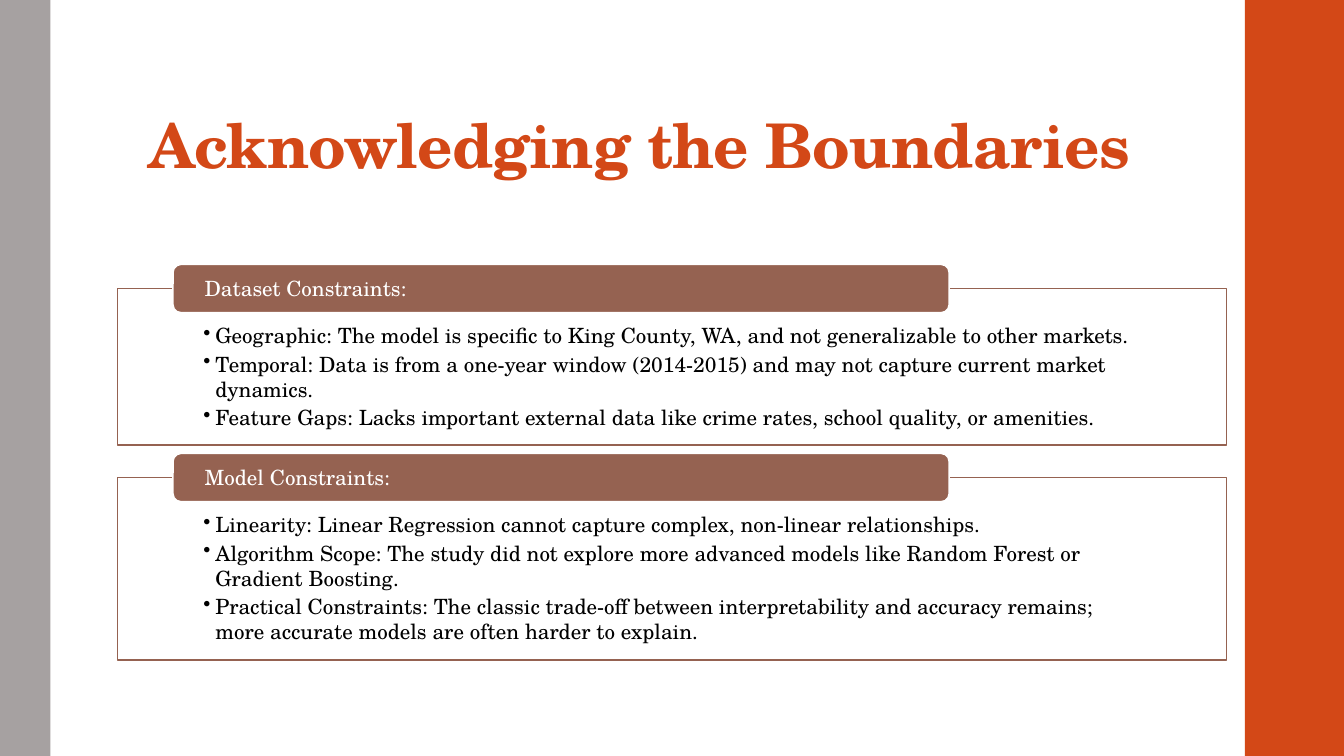
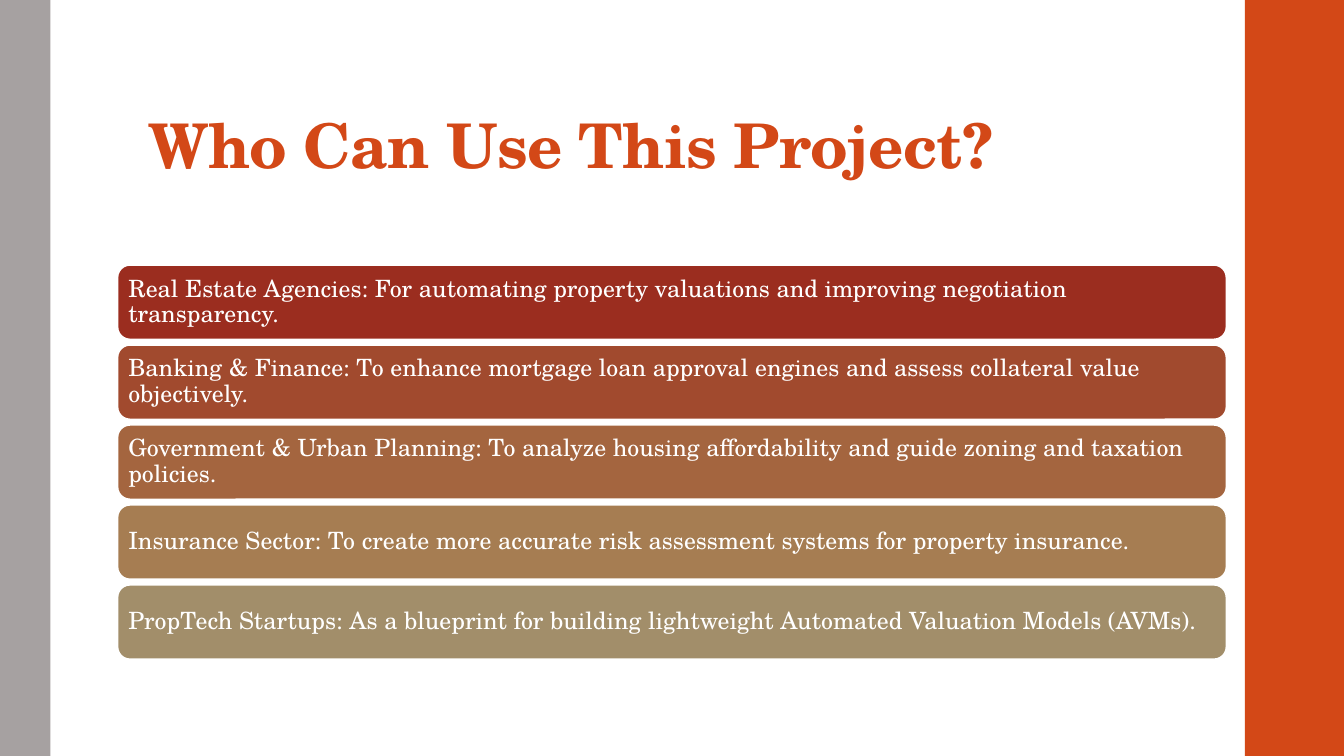
from dataclasses import dataclass
from typing import Any

from lxml.etree import SubElement as Sub
from pptx import Presentation
from pptx.dml.color import RGBColor as Rgb
from pptx.enum.shapes import MSO_SHAPE as Form
from pptx.enum.text import MSO_ANCHOR as Anchor, PP_ALIGN as Align
from pptx.oxml.ns import qn
from pptx.util import Inches, Pt

WIDE, HIGH = Inches(13.333), Inches(7.5)
COLS, ROWS = 160, 90
LEFT, SPAN = 14, 132
FONT = "TeX Gyre Schola"
HUES = {
    "white": "FFFFFF", "black": "000000", "orange": "D34817", "gray": "A6A1A1",
    "brown": "956251", "red": "9B2D1F", "rust": "A14A2E", "clay": "A4653F",
    "tan": "A67D52", "sand": "A28E6A",
}


@dataclass(frozen=True)
class Box:
    """A place on the grid, in columns and rows."""
    x: float
    y: float
    w: float
    h: float


@dataclass(frozen=True)
class Style:
    """The look of a text: inches for insets and hang, points for the rest."""
    size: int
    hue: str
    pad: tuple[float, float, float, float]
    anchor: Any = Anchor.MIDDLE
    bold: bool = False
    lead: float = 1.0
    after: float = 0
    hang: float = 0
    track: int = 0


@dataclass(frozen=True)
class Panel:
    """A framed list with a label on its top edge."""
    label: str
    rows: float
    items: tuple[str, ...]


@dataclass(frozen=True)
class Card:
    """A filled bar with one statement."""
    hue: str
    text: str


HEAD = Style(44, "orange", (0.1, 0.03, 0.1, 0.05), Anchor.BOTTOM, True, 0.9, track=-50)
LIST = Style(15, "black", (0.85, 0.34, 0.85, 0.12), Anchor.TOP, after=2.25, hang=0.12)
LABEL = Style(15, "white", (0.29, 0, 0.29, 0))
NOTE = Style(17, "white", (0.07, 0.07, 0.07, 0.07), lead=0.9)

BANDS = (("orange", Box(148.2, 0, 11.8, ROWS)), ("gray", Box(0, 0, 6, ROWS)))
TITLE = Box(16.5, 3.8, 127.2, 18.4)

PANELS = (
    Panel("Dataset Constraints:", 18.6, (
        "Geographic: The model is specific to King County, WA, and not generalizable to other markets.",
        "Temporal: Data is from a one-year window (2014-2015) and may not capture current market dynamics.",
        "Feature Gaps: Lacks important external data like crime rates, school quality, or amenities.",
    )),
    Panel("Model Constraints:", 21.7, (
        "Linearity: Linear Regression cannot capture complex, non-linear relationships.",
        "Algorithm Scope: The study did not explore more advanced models like Random Forest or Gradient Boosting.",
        "Practical Constraints: The classic trade-off between interpretability and accuracy remains; "
        "more accurate models are often harder to explain.",
    )),
)
CARDS = (
    Card("red", "Real Estate Agencies: For automating property valuations and improving negotiation transparency."),
    Card("rust", "Banking & Finance: To enhance mortgage loan approval engines and assess collateral value objectively."),
    Card("clay", "Government & Urban Planning: To analyze housing affordability and guide zoning and taxation policies."),
    Card("tan", "Insurance Sector: To create more accurate risk assessment systems for property insurance."),
    Card("sand", "PropTech Startups: As a blueprint for building lightweight Automated Valuation Models (AVMs)."),
)


def apply(target: Any, values: dict[str, Any]) -> None:
    """Set each named value on the target."""
    for name, value in values.items():
        setattr(target, name, value)


def place(box: Box) -> tuple[int, int, int, int]:
    """Turn a grid box into slide lengths."""
    return (round(WIDE * box.x / COLS), round(HIGH * box.y / ROWS),
            round(WIDE * box.w / COLS), round(HIGH * box.h / ROWS))


def color(name: str) -> Rgb:
    """Look up a colour by name."""
    return Rgb.from_string(HUES[name])


def shape(slide: Any, form: Any, box: Box, fill: str, line: str = "") -> Any:
    """Draw a filled shape, outlined if a line colour is given."""
    item = slide.shapes.add_shape(form, *place(box))
    item.shadow.inherit = False
    item.fill.solid()
    item.fill.fore_color.rgb = color(fill)
    if line:
        item.line.color.rgb = color(line)
        item.line.width = Pt(1.1)
    else:
        item.line.fill.background()
    return item


def write(item: Any, texts: tuple[str, ...], style: Style) -> None:
    """Fill a shape with one paragraph per text."""
    frame = item.text_frame
    left, top, right, bottom = map(Inches, style.pad)
    apply(frame, {"word_wrap": True, "vertical_anchor": style.anchor,
                  "margin_left": left, "margin_top": top,
                  "margin_right": right, "margin_bottom": bottom})
    for index, text in enumerate(texts):
        para = frame.add_paragraph() if index else frame.paragraphs[0]
        if style.hang:
            props = para._p.get_or_add_pPr()
            props.set("marL", str(Inches(style.hang)))
            props.set("indent", str(-Inches(style.hang)))
            Sub(props, qn("a:buChar")).set("char", "•")
        apply(para, {"alignment": Align.LEFT, "line_spacing": style.lead,
                     "space_after": Pt(style.after)})
        run = para.add_run()
        run.text = text
        apply(run.font, {"name": FONT, "size": Pt(style.size), "bold": style.bold})
        run.font.color.rgb = color(style.hue)
        if style.track:
            run._r.get_or_add_rPr().set("spc", str(style.track))


def start(deck: Any, title: str) -> Any:
    """Add a blank slide with the side bands and a title."""
    slide = deck.slides.add_slide(deck.slide_layouts[6])
    for hue, box in BANDS:
        shape(slide, Form.RECTANGLE, box, hue)
    write(slide.shapes.add_textbox(*place(TITLE)), (title,), HEAD)
    return slide


def limits(slide: Any) -> None:
    """Stack the panels, each with its label centred on the top edge."""
    top, gap, tall = 34.35, 3.9, 5.75
    for panel in PANELS:
        frame = shape(slide, Form.RECTANGLE, Box(LEFT, top, SPAN, panel.rows), "white", "brown")
        write(frame, panel.items, LIST)
        tab = Box(LEFT + SPAN * 0.05, top - tall / 2, SPAN * 0.7, tall)
        write(shape(slide, Form.ROUNDED_RECTANGLE, tab, "brown", "white"), (panel.label,), LABEL)
        top += panel.rows + gap


def users(slide: Any) -> None:
    """Stack the cards at an equal pitch."""
    top, pitch, tall = 31.55, 9.52, 8.85
    for index, card in enumerate(CARDS):
        box = Box(LEFT, top + index * pitch, SPAN, tall)
        write(shape(slide, Form.ROUNDED_RECTANGLE, box, card.hue, "white"), (card.text,), NOTE)


def main() -> None:
    """Build and save the deck."""
    deck = Presentation()
    apply(deck, {"slide_width": WIDE, "slide_height": HIGH})
    limits(start(deck, "Acknowledging the Boundaries"))
    users(start(deck, "Who Can Use This Project?"))
    deck.save("out.pptx")


if __name__ == "__main__":
    main()
